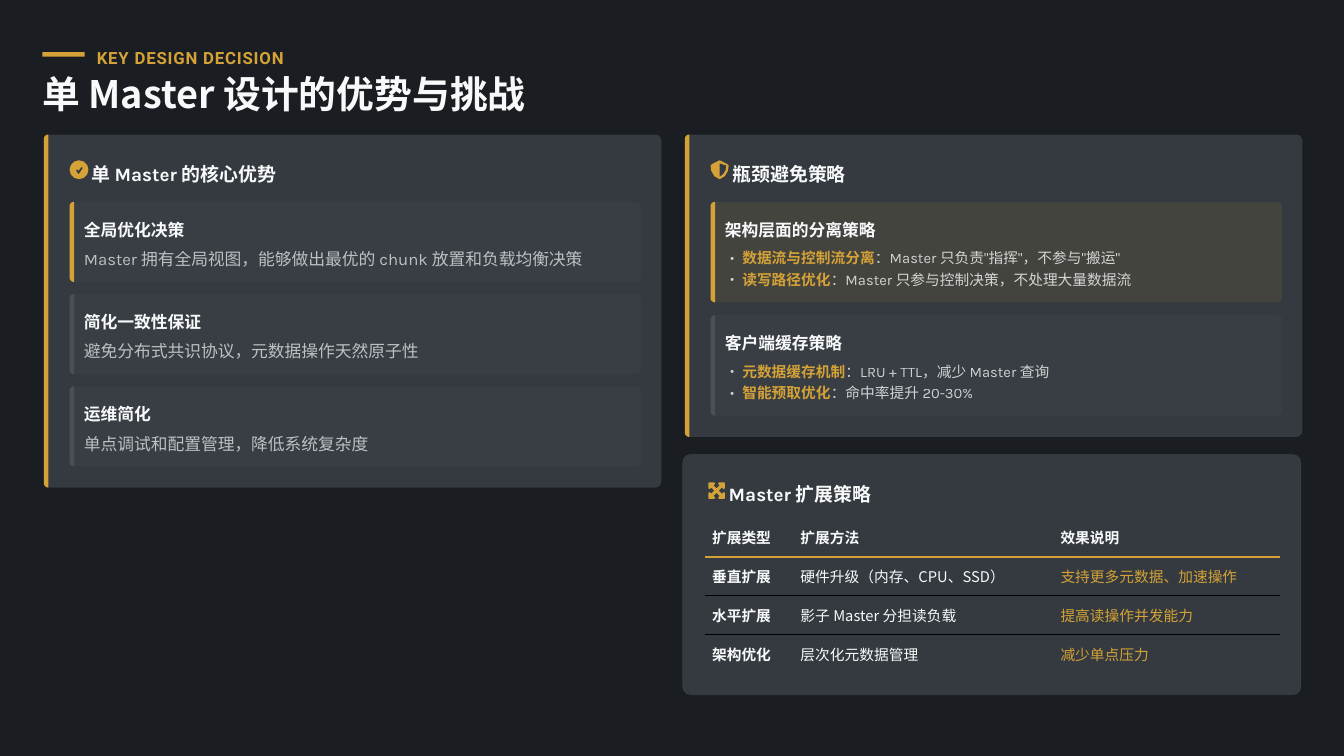
"""Build a slide on the strengths and challenges of a single-master design."""
import math

from lxml import etree
from pptx import Presentation
from pptx.dml.color import RGBColor
from pptx.enum.shapes import MSO_SHAPE
from pptx.enum.text import MSO_ANCHOR, MSO_AUTO_SIZE, PP_ALIGN
from pptx.oxml.ns import qn
from pptx.util import Inches, Pt

ROUNDED, OVAL = MSO_SHAPE.ROUNDED_RECTANGLE, MSO_SHAPE.OVAL
MIDDLE, LEFT, NO_FIT = MSO_ANCHOR.MIDDLE, PP_ALIGN.LEFT, MSO_AUTO_SIZE.NONE
NIGHT = RGBColor(0x1A, 0x1D, 0x21)
PANEL = RGBColor(0x34, 0x3A, 0x40)
SLATE = RGBColor(0x49, 0x50, 0x57)
GOLD = RGBColor(0xD4, 0xA2, 0x37)
WHITE = RGBColor(0xF8, 0xF9, 0xFA)
BLACK = RGBColor(0, 0, 0)
SANS, KARLA, ROBOTO = "Noto Sans CJK SC", "Karla", "Roboto"
NO_GRID_STYLE = "{2D5ABB26-0587-4C30-8999-92F81FD0307C}"

KICKER = "KEY DESIGN DECISION"
TITLE = "单 Master 设计的优势与挑战"
PANELS = [
    ("单 Master 的核心优势", 0.58, 4.67, 1.06, 1.22, [
        ("全局优化决策", "Master 拥有全局视图，能够做出最优的 chunk 放置和负载均衡决策"),
        ("简化一致性保证", "避免分布式共识协议，元数据操作天然原子性"),
        ("运维简化", "单点调试和配置管理，降低系统复杂度"),
    ]),
    ("瓶颈避免策略", 9.06, 4, 1.33, 1.5, [
        ("架构层面的分离策略", [
            ("数据流与控制流分离", "：Master 只负责\"指挥\"，不参与\"搬运\""),
            ("读写路径优化", "：Master 只参与控制决策，不处理大量数据流"),
        ]),
        ("客户端缓存策略", [
            ("元数据缓存机制", "：LRU + TTL，减少 Master 查询"),
            ("智能预取优化", "：命中率提升 20-30%"),
        ]),
    ]),
]
TABLE_TITLE = "Master 扩展策略"
TABLE = [
    ("扩展类型", "扩展方法", "效果说明"),
    ("垂直扩展", "硬件升级（内存、CPU、SSD）", "支持更多元数据、加速操作"),
    ("水平扩展", "影子 Master 分担读负载", "提高读操作并发能力"),
    ("架构优化", "层次化元数据管理", "减少单点压力"),
]
COLUMN_WIDTHS = (1.17, 3.44, 3)
CHECK = [[(1.09, 2.23), (1.05, 2.29), (1.04, 2.3), (1.03, 2.29), (1.01, 2.26),
          (1.01, 2.24), (1.03, 2.25), (1.04, 2.26), (1.07, 2.22), (1.09, 2.21)]]
SHIELD = [[(9.52, 2.12), (9.62, 2.17), (9.64, 2.19), (9.63, 2.26), (9.59, 2.33),
           (9.52, 2.37), (9.45, 2.33), (9.41, 2.26), (9.4, 2.19), (9.42, 2.17)],
          [(9.52, 2.16), (9.52, 2.34), (9.57, 2.3), (9.6, 2.25), (9.61, 2.19)]]
ARROW_CORNER = [(0, -0.03), (0.04, -0.07), (0.02, -0.09), (0.03, -0.11), (0.1, -0.11),
                (0.11, -0.1), (0.11, -0.03), (0.09, -0.02), (0.07, -0.04), (0.03, 0)]


def set_alpha(element, percent):
    for color in element.iter(qn("a:srgbClr")):
        etree.SubElement(color, qn("a:alpha"), val=str(percent * 1000))


def paint(shape, color, alpha=100):
    shape.shadow.inherit = False
    shape.line.fill.background()
    shape.fill.solid()
    shape.fill.fore_color.rgb = color
    if alpha < 100:
        set_alpha(shape.fill._xPr, alpha)
    return shape


def add_block(slide, kind, left, top, width, height, color, alpha=100, radius=0.0):
    block = slide.shapes.add_shape(kind, *map(Inches, (left, top, width, height)))
    if radius:
        block.adjustments[0] = radius / min(width, height)
    return paint(block, color, alpha)


def add_outline(slide, contours, color):
    contours = [[(Inches(x), Inches(y)) for x, y in points] for points in contours]
    builder = slide.shapes.build_freeform(*contours[0][0], scale=1.0)
    for index, points in enumerate(contours):
        if index:
            builder.move_to(*points[0])
        builder.add_line_segments(points[1:], close=True)
    return paint(builder.convert_to_shape(), color)


def add_strip(slide, left, top, height, color, radius=0.06):
    arc = [(radius * math.sin(math.radians(a)), radius * math.cos(math.radians(a)))
           for a in range(0, 91, 15)]
    upper = [(left + radius - x, top + radius - y) for x, y in arc]
    lower = [(x, 2 * top + height - y) for x, y in reversed(upper)]
    add_outline(slide, [upper + lower], color)


def prepare(box, left, top, width, height):
    box.left, box.top, box.width, box.height = map(Inches, (left, top, width, height))
    frame = box.text_frame
    frame.auto_size, frame.word_wrap, frame.vertical_anchor = NO_FIT, True, MIDDLE
    frame.margin_left = frame.margin_right = frame.margin_top = frame.margin_bottom = 0
    return frame


def style(font, name, size, color, bold=False, alpha=100):
    font.name, font.size, font.bold = name, Pt(size), bold
    font.color.rgb = color
    if alpha < 100:
        set_alpha(font._element, alpha)


def write(box, place, text, name, size, color, bold=True, alpha=100, spacing=1.3):
    para = prepare(box, *place).paragraphs[0]
    para.text, para.alignment, para.line_spacing = text, LEFT, spacing
    style(para.font, name, size, color, bold, alpha)
    return para


def add_text(slide, place, *details, **options):
    box = slide.shapes.add_textbox(0, 0, 0, 0)
    return write(box, place, *details, **options)


def fill_list(slide, box, place, items):
    slide.shapes._spTree.append(box._element)
    frame = prepare(box, *place)
    for index, (term, detail) in enumerate(items):
        para = frame.add_paragraph() if index else frame.paragraphs[0]
        para.line_spacing, para.space_before = 1.2, Pt(0)
        properties = para._p.get_or_add_pPr()
        properties.set("marL", str(Inches(0.23)))
        properties.set("indent", str(-Inches(0.23)))
        bullet_color = etree.SubElement(properties, qn("a:buClr"))
        etree.SubElement(bullet_color, qn("a:srgbClr"), val=str(WHITE))
        set_alpha(bullet_color, 80)
        etree.SubElement(properties, qn("a:buFont"), typeface=SANS)
        etree.SubElement(properties, qn("a:buChar"), char="•")
        for text, color, bold, alpha in ((term, GOLD, True, 100), (detail, WHITE, False, 80)):
            span = para.add_run()
            span.text = text
            style(span.font, KARLA, 14, color, bold, alpha)


def add_panel(slide, panel, lists):
    heading, left, height, card_height, pitch, cards = panel
    add_block(slide, ROUNDED, left, 1.78, 8.17, height, PANEL, radius=0.08)
    add_strip(slide, left, 1.78, height, GOLD)
    add_text(slide, (left + 0.63, 2.06, 7.39, 0.39), heading, KARLA, 18, WHITE)
    for index, (name, body) in enumerate(cards):
        card_left, top = left + 0.34, 2.67 + index * pitch
        tinted = not index and isinstance(body, list)
        add_block(slide, ROUNDED, card_left, top, 7.56, card_height,
                  GOLD if tinted else SLATE, 10 if tinted else 20, 0.06)
        add_strip(slide, card_left, top, card_height, SLATE if index else GOLD)
        text_left = card_left + 0.19
        add_text(slide, (text_left, top + 0.16, 7.31, 0.33), name, KARLA, 16, WHITE)
        if isinstance(body, list):
            fill_list(slide, lists[index], (text_left, top + 0.55, 7.29, 0.62), body)
        else:
            add_text(slide, (text_left, top + 0.55, 7.31, 0.33), body, KARLA, 16, WHITE,
                     bold=False, alpha=70)


def add_bottom_border(cell, color, width):
    line = etree.Element(qn("a:lnB"), w=str(Pt(width)))
    fill = etree.SubElement(line, qn("a:solidFill"))
    etree.SubElement(fill, qn("a:srgbClr"), val=str(color))
    cell._tc.get_or_add_tcPr().insert(0, line)


def add_strategy_table(slide):
    place = map(Inches, (9.32, 6.85, sum(COLUMN_WIDTHS), 2.06))
    frame = slide.shapes.add_table(len(TABLE), len(COLUMN_WIDTHS), *place)
    table = frame.table
    table.horz_banding = False
    next(frame._element.iter(qn("a:tableStyleId"))).text = NO_GRID_STYLE
    for column, width in zip(table.columns, COLUMN_WIDTHS):
        column.width = Inches(width)
    for row, texts in enumerate(TABLE):
        for column, text in enumerate(texts):
            cell = table.cell(row, column)
            cell.text, cell.vertical_anchor = text, MIDDLE
            cell.fill.background()
            color = GOLD if row and column == 2 else WHITE
            style(cell.text_frame.paragraphs[0].font, SANS, 14, color, not row or not column)
            if row < len(TABLE) - 1:
                add_bottom_border(cell, BLACK if row else GOLD, 1 if row else 2)


def main():
    deck = Presentation()
    deck.slide_width, deck.slide_height = Inches(17.78), Inches(10)
    slide = deck.slides.add_slide(deck.slide_layouts[3])
    slide.background.fill.solid()
    slide.background.fill.fore_color.rgb = NIGHT
    title, *lists = slide.placeholders
    write(title, (0.56, 1, 16.92, 0.56), TITLE, SANS, 36, WHITE, spacing=0.9)
    add_block(slide, MSO_SHAPE.RECTANGLE, 0.56, 0.69, 0.56, 0.06, GOLD)
    kicker = add_text(slide, (1.28, 0.56, 2.62, 0.33), KICKER, ROBOTO, 16, GOLD)
    kicker.runs[0].font._element.set("spc", "80")
    for panel in PANELS:
        add_panel(slide, panel, lists)
    add_block(slide, OVAL, 0.92, 2.12, 0.25, 0.25, GOLD)
    add_outline(slide, CHECK, PANEL)
    add_outline(slide, SHIELD, GOLD)
    panel = add_block(slide, ROUNDED, 9.03, 6.01, 8.18, 3.18, PANEL, radius=0.11)
    panel.line.color.rgb, panel.line.width = SLATE, Pt(1)
    set_alpha(panel.line._ln, 30)
    corners = ((1, 1), (-1, 1), (-1, -1), (1, -1))
    arrows = [(9.48 + sx * x, 6.49 + sy * y) for sx, sy in corners
              for x, y in (ARROW_CORNER if sx == sy else ARROW_CORNER[::-1])]
    add_outline(slide, [arrows], GOLD)
    add_text(slide, (9.64, 6.29, 7.42, 0.39), TABLE_TITLE, KARLA, 18, WHITE)
    add_strategy_table(slide)
    deck.save("out.pptx")


if __name__ == "__main__":
    main()
